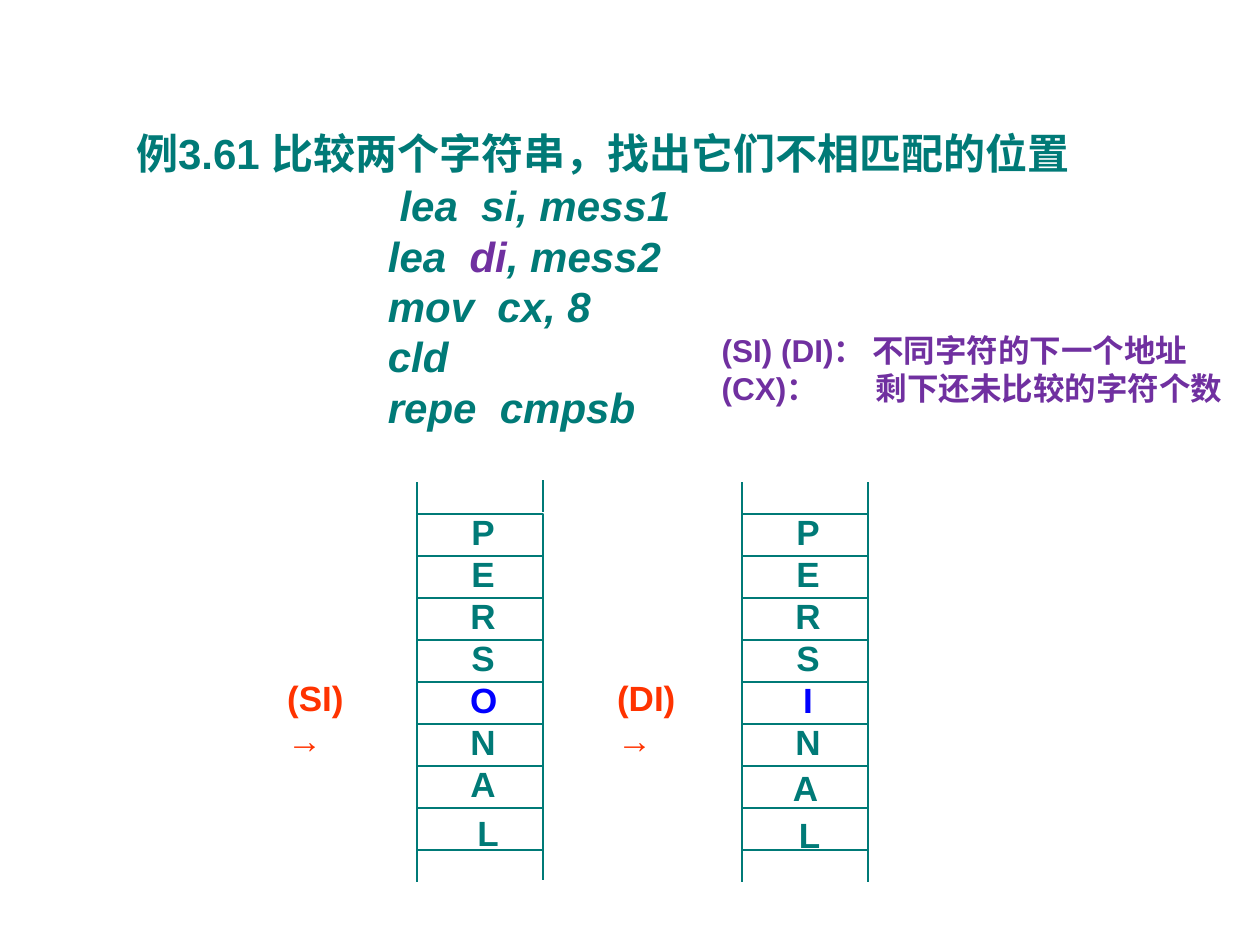
import pptx
import pptx.util
import pptx.dml.color
import pptx.enum.shapes
import pptx.enum.text
import lxml.etree
from pptx.util import Cm

COLORS = {"teal": "007A77", "purple": "7030A0", "blue": "0000FF", "red": "FF3300"}
HEADING = {"size": pptx.util.Pt(24), "bold": True, "name": "Arial"}
CODE = {**HEADING, "italic": True}
NOTE = {**HEADING, "size": pptx.util.Pt(18)}
LABEL = {**HEADING, "size": pptx.util.Pt(20)}
ALIGN = pptx.enum.text.PP_ALIGN
ANCHOR = pptx.enum.text.MSO_ANCHOR
DRAWING_NS = "http://schemas.openxmlformats.org/drawingml/2006/main"

# Each code line is a list of (text, colour) parts
CODE_LINES = [
    [(" lea  si, mess1", "teal")],
    [("lea  ", "teal"), ("di", "purple"), (", mess2", "teal")],
    [("mov  cx, 8", "teal")],
    [("cld", "teal")],
    [("repe  cmpsb", "teal")],
]
MISMATCH_ROW = 4


def rgb(color):
    return pptx.dml.color.RGBColor.from_string(COLORS[color])


def format_font(font, style, color):
    for attribute, value in style.items():
        setattr(font, attribute, value)
    font.color.rgb = rgb(color)


def set_lines(frame, lines, style, align=ALIGN.LEFT):
    for index, line in enumerate(lines):
        paragraph = frame.paragraphs[0] if index == 0 else frame.add_paragraph()
        paragraph.alignment = align
        for text, color in line:
            for part_index, part in enumerate(text.split("\v")):
                if part_index:
                    paragraph.add_line_break()
                run = paragraph.add_run()
                run.text = part
                format_font(run.font, style, color)


def add_text(shapes, box, lines, style, wrap=True, anchor=ANCHOR.TOP, align=ALIGN.LEFT):
    frame = shapes.add_textbox(*(Cm(length) for length in box)).text_frame
    frame.word_wrap = wrap
    frame.vertical_anchor = anchor
    set_lines(frame, lines, style, align)
    return frame


def place_title(slide, box):
    title = slide.shapes.title
    for attribute, length in zip(("left", "top", "width", "height"), box):
        setattr(title, attribute, Cm(length))
    frame = title.text_frame
    frame.auto_size = pptx.enum.text.MSO_AUTO_SIZE.NONE
    frame.vertical_anchor = ANCHOR.MIDDLE
    set_lines(frame, [[("例3.61 比较两个字符串，找出它们不相匹配的位置", "teal")]], HEADING)


def add_result_note(slide, box):
    lines = [
        [("(SI) (DI)： 不同字符的下一个地址", "purple")],
        [("(CX)：\t剩下还未比较的字符个数", "purple")],
    ]
    frame = add_text(slide.shapes, box, lines, NOTE)
    # Tab stop that sets the second explanation below the first
    properties = frame.paragraphs[1]._p.get_or_add_pPr()
    tabs = lxml.etree.SubElement(properties, f"{{{DRAWING_NS}}}tabLst")
    lxml.etree.SubElement(tabs, f"{{{DRAWING_NS}}}tab", pos=str(Cm(3.1)), algn="l")


def add_rail(shapes, x, start, end):
    rail = shapes.add_connector(
        pptx.enum.shapes.MSO_CONNECTOR.STRAIGHT, Cm(x), Cm(start), Cm(x), Cm(end))
    rail.line.color.rgb = rgb("teal")
    rail.line.width = pptx.util.Pt(1)
    lxml.etree.SubElement(rail._element.spPr, f"{{{DRAWING_NS}}}effectLst")


def add_memory_column(slide, box, word, pointer, pointer_offset, right_rail_shift=0, nudges=None):
    """Draw one string as memory cells; nudges shifts single letters by row."""
    left, top, width, height = box
    row_height = height / len(word)
    rail_length = 0.64
    letter_width, letter_height = 1.02, 1.12
    shapes = slide.shapes.add_group_shape().shapes

    # Cells with their letters
    for row, letter in enumerate(word):
        cell_top = top + row * row_height
        cell = shapes.add_shape(
            pptx.enum.shapes.MSO_SHAPE.RECTANGLE,
            Cm(left), Cm(cell_top), Cm(width), Cm(row_height))
        cell.shadow.inherit = False
        cell.fill.background()
        cell.line.color.rgb = rgb("teal")
        cell.line.width = pptx.util.Pt(1)

        dx, dy = (nudges or {}).get(row, (0, 0))
        letter_box = (left + 0.82 + dx, cell_top - 0.2 + dy, letter_width, letter_height)
        color = "blue" if row == MISMATCH_ROW else "teal"
        add_text(shapes, letter_box, [[(letter, color)]], LABEL,
                 wrap=False, anchor=ANCHOR.MIDDLE, align=ALIGN.CENTER)

    # Open ends above and below the cells
    for x, shift in ((left, 0), (left + width, right_rail_shift)):
        add_rail(shapes, x, top + shift, top + shift - rail_length)
        add_rail(shapes, x, top + height + shift, top + height + shift + rail_length)

    # Index register
    add_text(shapes, (left - pointer_offset, top + 3.56, 2.62, 1.12),
             [[(f"({pointer})\v→", "red")]], LABEL, anchor=ANCHOR.MIDDLE)


def main():
    deck = pptx.Presentation()
    deck.slide_width, deck.slide_height = Cm(25.4), Cm(19.05)
    slide = deck.slides.add_slide(deck.slide_layouts[5])

    place_title(slide, (2.49, 2.44, 20.4, 1.28))
    add_text(slide.shapes, (7.57, 3.5, 7, 5.3), CODE_LINES, CODE)
    add_memory_column(slide, (8.41, 10.36, 2.54, 6.77), "PERSONAL", "SI", 2.87,
                      right_rail_shift=-0.04, nudges={7: (0.1, 0.13)})
    add_memory_column(slide, (14.96, 10.36, 2.54, 6.77), "PERSINAL", "DI", 2.77,
                      nudges={6: (-0.05, 0.08), 7: (0.03, 0.18)})
    add_result_note(slide, (14.3, 6.55, 10.72, 1.78))

    deck.save("out.pptx")


if __name__ == "__main__":
    main()
